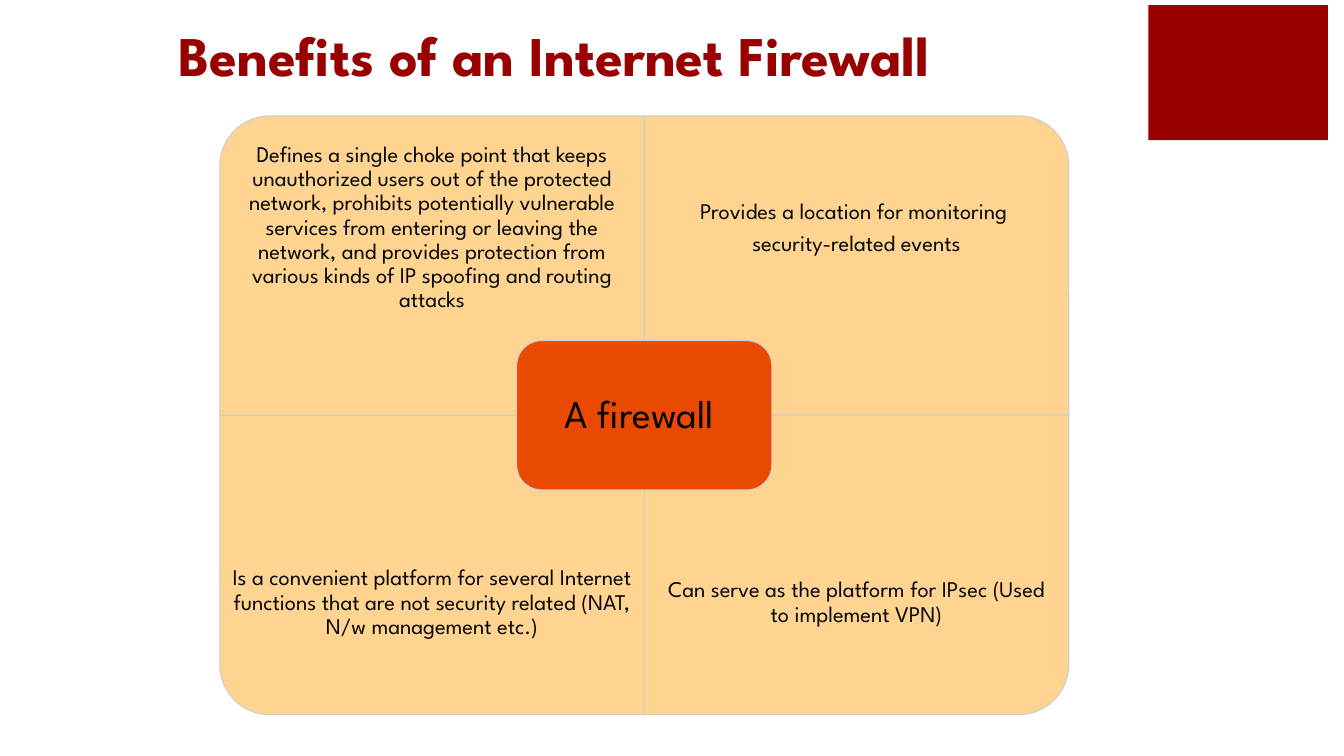
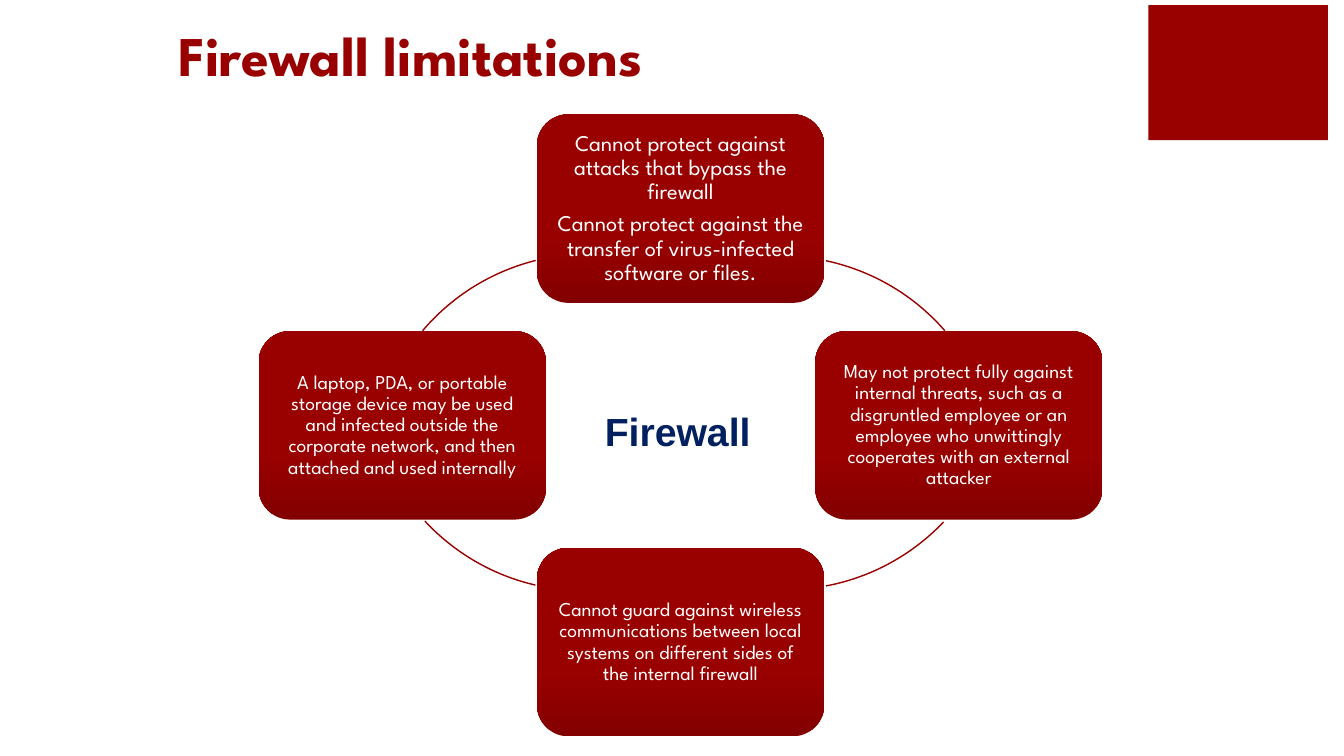
import pptx
import pptx.util
import pptx.dml.color
import pptx.enum.shapes
import pptx.enum.text

PX = 9144
SLIDE_SIZE = (1333, 750)
FONT = "League Spartan"
RED, DARK_RED = "990000", "830000"
SAND, ORANGE, GREY = "FFD491", "E94A00", "CCCCCC"
INK, WHITE, NAVY = "050505", "FFFFFF", "002060"
CORNER_BLOCK = (1139, 5, 178, 134)
TITLE_AREA = (167, 7, 1000, 85)

SHAPE = pptx.enum.shapes.MSO_SHAPE
ALIGN = pptx.enum.text.PP_ALIGN
ANCHOR = pptx.enum.text.MSO_ANCHOR

BENEFITS_TITLE = "Benefits of an Internet Firewall"
BENEFITS_CORE = "A firewall "
BENEFITS = [
    (0, 0, 270, ["Defines a single choke point that keeps unauthorized users out of the "
                 "protected network, prohibits potentially vulnerable services from entering "
                 "or leaving the network, and provides protection from various kinds of IP "
                 "spoofing and routing attacks"]),
    (1, 0, 0, ["Provides a location for monitoring ", "security-related events"]),
    (0, 1, 180, ["Is a convenient platform for several Internet functions that are not "
                 "security related (NAT, N/w management etc.)"]),
    (1, 1, 90, ["Can serve as the platform for IPsec (Used to implement VPN)"]),
]
MATRIX_LEFT, MATRIX_TOP = 218, 115
QUADRANT_W, QUADRANT_H, QUADRANT_TEXT_H = 421, 297, 222
CORE_W, CORE_H = 253, 148

LIMITS_TITLE = "Firewall limitations"
LIMITS_CORE = "Firewall"
LIMITS = [
    (0, -1, 16, 7, ["Cannot protect against attacks that bypass the firewall",
                    "Cannot protect against the transfer of virus-infected software or files."]),
    (1, 0, 14, 6, ["May not protect fully against internal threats, such as a disgruntled "
                   "employee or an employee who unwittingly cooperates with an external attacker"]),
    (0, 1, 14, 6, ["Cannot guard against wireless communications between local systems on "
                   "different sides of the internal firewall"]),
    (-1, 0, 14, 6, ["A laptop, PDA, or portable storage device may be used and infected outside "
                    "the corporate network, and then attached and used internally"]),
]
CYCLE_X, CYCLE_Y, REACH_X, REACH_Y = 675, 422, 276, 215
LIMIT_W, LIMIT_H = 285, 187
ARC_SIZE = 431
ARCS = [
    (559, 254, 282, 319),
    (564, 154, 43.5, 79.4),
    (364, 155, 103, 137.2),
    (368, 252, 220.3, 256),
]


def px(*lengths):
    return [pptx.util.Emu(round(length * PX)) for length in lengths]


def rgb(color):
    return pptx.dml.color.RGBColor.from_string(color)


def set_font(paragraph, size, color, name=FONT, bold=False):
    paragraph.font.name = name
    paragraph.font.size = pptx.util.Pt(size)
    paragraph.font.bold = bold
    paragraph.font.color.rgb = rgb(color)


def add_block(slide, kind, area, fill=None, line=None, line_width=0.75):
    block = slide.shapes.add_shape(kind, *px(*area))
    block.shadow.inherit = False
    if fill:
        block.fill.solid()
        block.fill.fore_color.rgb = rgb(fill)
    else:
        block.fill.background()
    if line:
        block.line.color.rgb = rgb(line)
        block.line.width = pptx.util.Pt(line_width)
    else:
        block.line.fill.background()
    return block


def write(holder, paragraphs, size, color, inset):
    frame = holder.text_frame
    frame.word_wrap = True
    frame.vertical_anchor = ANCHOR.MIDDLE
    margin = px(inset)[0]
    frame.margin_left = frame.margin_right = margin
    frame.margin_top = frame.margin_bottom = margin
    frame.text = "\n".join(paragraphs)
    for paragraph in frame.paragraphs:
        paragraph.alignment = ALIGN.CENTER
        paragraph.line_spacing = 0.9
        paragraph.space_after = pptx.util.Pt(0.35 * size)
        set_font(paragraph, size, color)


def add_slide(deck, layout, heading):
    slide = deck.slides.add_slide(layout)
    title = slide.shapes.title
    title.left, title.top, title.width, title.height = px(*TITLE_AREA)
    title.text_frame.text = heading
    title.text_frame.auto_size = pptx.enum.text.MSO_AUTO_SIZE.NONE
    title.text_frame.vertical_anchor = ANCHOR.BOTTOM
    paragraph = title.text_frame.paragraphs[0]
    paragraph.alignment = ALIGN.LEFT
    set_font(paragraph, 40, RED, bold=True)
    return slide


def build_benefits(slide):
    for column, row, rotation, paragraphs in BENEFITS:
        left = MATRIX_LEFT + column * QUADRANT_W
        top = MATRIX_TOP + row * QUADRANT_H
        turned = rotation % 180 == 90
        width, height = (QUADRANT_H, QUADRANT_W) if turned else (QUADRANT_W, QUADRANT_H)
        area = (left + (QUADRANT_W - width) / 2, top + (QUADRANT_H - height) / 2, width, height)
        quadrant = add_block(slide, SHAPE.ROUND_1_RECTANGLE, area, SAND, GREY)
        quadrant.rotation = rotation
        text_top = top + row * (QUADRANT_H - QUADRANT_TEXT_H)
        benefit = slide.shapes.add_textbox(*px(left, text_top, QUADRANT_W, QUADRANT_TEXT_H))
        write(benefit, paragraphs, 16, INK, 12)
    core_area = (MATRIX_LEFT + QUADRANT_W - CORE_W / 2, MATRIX_TOP + QUADRANT_H - CORE_H / 2,
                 CORE_W, CORE_H)
    core = add_block(slide, SHAPE.ROUNDED_RECTANGLE, core_area, ORANGE, GREY)
    write(core, [BENEFITS_CORE], 28, INK, 12)


def build_limits(slide):
    for (across, down, size, inset, paragraphs), (left, top, start, end) in zip(LIMITS, ARCS):
        area = (CYCLE_X + across * REACH_X - LIMIT_W / 2, CYCLE_Y + down * REACH_Y - LIMIT_H / 2,
                LIMIT_W, LIMIT_H)
        limit = add_block(slide, SHAPE.ROUNDED_RECTANGLE, area)
        limit.fill.gradient()
        limit.fill.gradient_angle = 90
        for stop, (position, color) in zip(limit.fill.gradient_stops, [(0, DARK_RED), (0.35, RED)]):
            stop.position = position
            stop.color.rgb = rgb(color)
        write(limit, paragraphs, size, WHITE, inset)
        arc = add_block(slide, SHAPE.ARC, (left, top, ARC_SIZE, ARC_SIZE), line=RED, line_width=1)
        arc.adjustments[0], arc.adjustments[1] = start * 0.6, end * 0.6
    core = slide.shapes.add_textbox(*px(590, 399, 200, 57))
    core.text_frame.word_wrap = True
    core.text_frame.text = LIMITS_CORE
    set_font(core.text_frame.paragraphs[0], 28, NAVY, "Arial", True)


def main():
    deck = pptx.Presentation()
    deck.slide_width, deck.slide_height = px(*SLIDE_SIZE)
    layout = deck.slide_layouts.get_by_name("Title Only")
    benefits = add_slide(deck, layout, BENEFITS_TITLE)
    corner = add_block(benefits, SHAPE.RECTANGLE, CORNER_BLOCK, RED)
    layout.shapes.element.append(corner.element)
    build_benefits(benefits)
    build_limits(add_slide(deck, layout, LIMITS_TITLE))
    deck.save("out.pptx")


if __name__ == "__main__":
    main()
